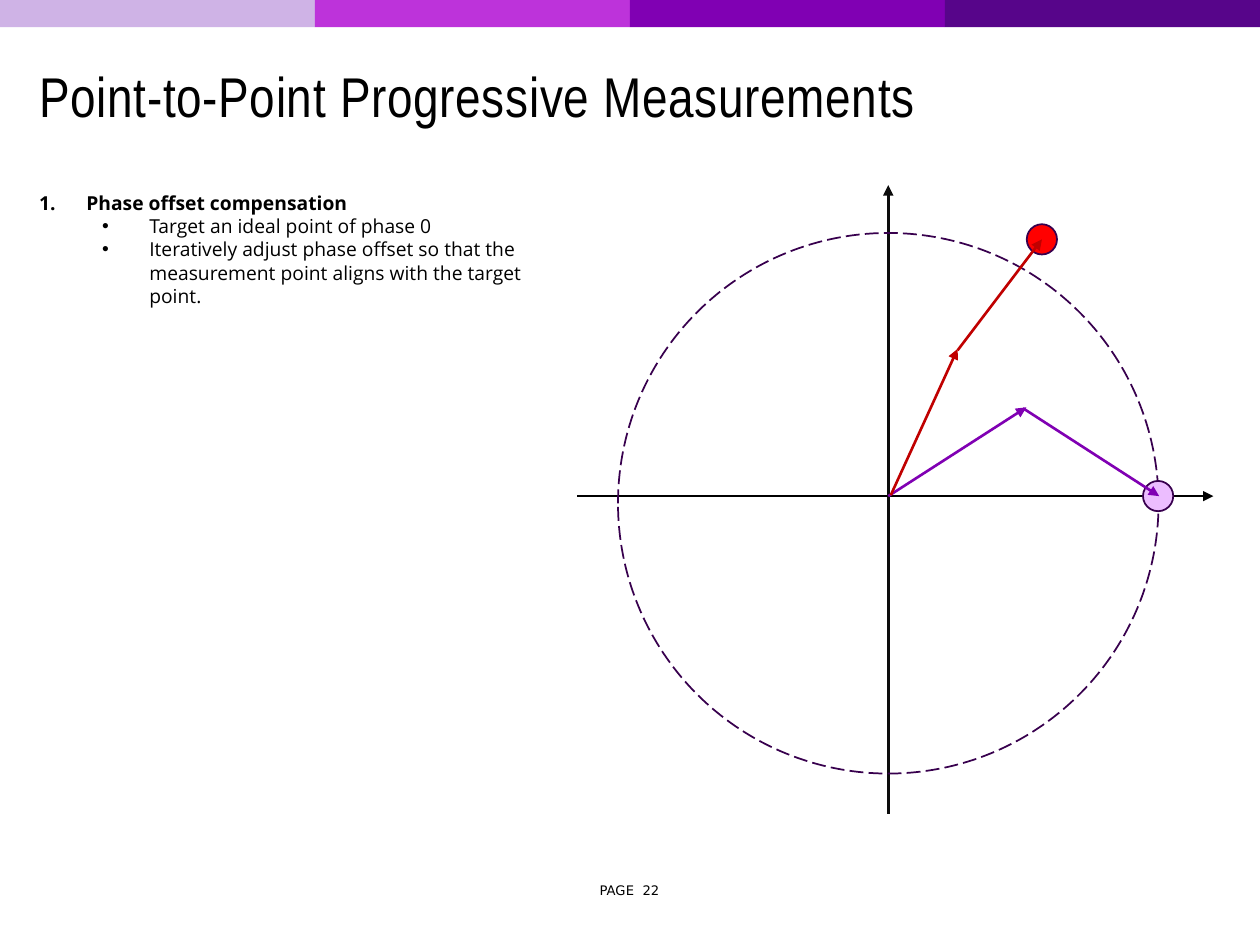
from typing import NamedTuple, Optional

from lxml.etree import SubElement
from pptx import Presentation
from pptx.dml.color import RGBColor
from pptx.enum.dml import MSO_LINE
from pptx.enum.shapes import MSO_CONNECTOR, MSO_SHAPE
from pptx.enum.text import MSO_ANCHOR, MSO_AUTO_SIZE, PP_ALIGN
from pptx.oxml.ns import qn
from pptx.util import Pt

BLACK = RGBColor(0x00, 0x00, 0x00)
INK = RGBColor(0x0C, 0x0C, 0x0C)
PLUM = RGBColor(0x38, 0x00, 0x4E)
VIOLET = RGBColor(0x80, 0x00, 0xB3)
PINK = RGBColor(0xEC, 0xBD, 0xFF)
RED = RGBColor(0xFF, 0x00, 0x00)
BRICK = RGBColor(0xC0, 0x00, 0x00)
BANDS = [RGBColor(0xCF, 0xB3, 0xE6), RGBColor(0xBD, 0x33, 0xDA),
         VIOLET, RGBColor(0x57, 0x05, 0x8A)]


class Arrow(NamedTuple):
    x1: float
    y1: float
    x2: float
    y2: float
    color: RGBColor


class Disc(NamedTuple):
    x: float  # centre
    y: float
    size: float
    fill: Optional[RGBColor] = None


class Item(NamedTuple):
    text: str
    level: int = 1


AXES = [Arrow(329.8, 283.5, 693.4, 283.5, BLACK),
        Arrow(507.6, 465.1, 507.6, 105.8, INK)]
RING = Disc(507.6, 287.6, 308.9)
TARGET = Disc(661.8, 283.5, 17.3, PINK)
POINT = Disc(595.4, 136.8, 17.3, RED)
STEPS = [Arrow(507.6, 283.5, 586.5, 232.8, VIOLET),
         Arrow(584.6, 233.3, 662.4, 283.5, VIOLET),
         Arrow(509, 283, 547.2, 199.4, BRICK),
         Arrow(547.2, 200.2, 595.4, 136.8, BRICK)]
ITEMS = [Item("Phase offset compensation", 0),
         Item("Target an ideal point of phase 0"),
         Item("Iteratively adjust phase offset so that the measurement "
              "point aligns with the target point.")]


def place(shape, x: float, y: float, w: float, h: float) -> None:
    shape.left, shape.top, shape.width, shape.height = map(Pt, (x, y, w, h))


def write(para, text: str, font: str, size: float, bold: bool = False):
    run = para.add_run()
    run.text = text
    run.font.name, run.font.size, run.font.bold = font, Pt(size), bold
    run.font.color.rgb = BLACK
    return run


def draw_band(slide, x: float, w: float, color: RGBColor) -> None:
    band = slide.shapes.add_shape(MSO_SHAPE.RECTANGLE, Pt(x), 0, Pt(w), Pt(15.6))
    band.shadow.inherit = False
    band.fill.solid()
    band.fill.fore_color.rgb = color
    band.line.fill.background()


def draw_arrow(slide, arrow: Arrow) -> None:
    line = slide.shapes.add_connector(
        MSO_CONNECTOR.STRAIGHT, Pt(arrow.x1), Pt(arrow.y1),
        Pt(arrow.x2), Pt(arrow.y2))
    line.line.color.rgb = arrow.color
    line.line.width = Pt(1.5)
    props = line._element.spPr
    SubElement(props.find(qn("a:ln")), qn("a:tailEnd"), type="triangle")
    SubElement(props, qn("a:effectLst"))


def draw_disc(slide, disc: Disc) -> None:
    half = disc.size / 2
    oval = slide.shapes.add_shape(
        MSO_SHAPE.OVAL, Pt(disc.x - half), Pt(disc.y - half),
        Pt(disc.size), Pt(disc.size))
    oval.shadow.inherit = False
    oval.line.color.rgb = PLUM
    oval.line.width = Pt(1)
    if disc.fill is None:
        oval.fill.background()
        oval.line.dash_style = MSO_LINE.LONG_DASH
    else:
        oval.fill.solid()
        oval.fill.fore_color.rgb = disc.fill


def add_item(para, item: Item) -> None:
    para.level = item.level
    para.space_before = Pt(0)
    props = para._p.get_or_add_pPr()
    props.set("marL", str(Pt(63 if item.level else 27)))
    props.set("indent", str(Pt(-27)))
    if item.level:
        SubElement(props, qn("a:buFont"), typeface="Arial")
        SubElement(props, qn("a:buChar"), char="•")
    else:
        SubElement(props, qn("a:buFont"), typeface="+mj-lt")
        SubElement(props, qn("a:buAutoNum"), type="arabicPeriod")
    write(para, item.text, "Open Sans", 11, item.level == 0)


def main() -> None:
    deck = Presentation()
    deck.slide_width, deck.slide_height = Pt(720), Pt(540)
    slide = deck.slides.add_slide(deck.slide_layouts[1])

    # Colour bands along the top
    for i, color in enumerate(BANDS):
        draw_band(slide, 180 * i, 180, color)

    # Title
    title = slide.shapes.title
    place(title, 15.1, 22.3, 683.3, 70.6)
    title.text_frame.vertical_anchor = MSO_ANCHOR.MIDDLE
    head = title.text_frame.paragraphs[0]
    head.alignment = PP_ALIGN.LEFT
    head.line_spacing = 0.85
    run = write(head, "Point-to-Point Progressive Measurements", "Arial Narrow", 32)
    run.font._element.set("spc", "40")

    # Numbered step with its bullets
    body = slide.placeholders[1]
    place(body, 15.1, 105.8, 303.1, 74.2)
    frame = body.text_frame
    frame.auto_size = MSO_AUTO_SIZE.SHAPE_TO_FIT_TEXT
    for i, item in enumerate(ITEMS):
        add_item(frame.add_paragraph() if i else frame.paragraphs[0], item)

    # Phase plane: axes, unit circle, points and vectors
    for axis in AXES:
        draw_arrow(slide, axis)
    for disc in (RING, TARGET, POINT):
        draw_disc(slide, disc)
    for step in STEPS:
        draw_arrow(slide, step)

    # Page number
    page = slide.shapes.add_textbox(Pt(329.8), Pt(499), Pt(59.8), Pt(19.4))
    page.text_frame.word_wrap = False
    page.text_frame.vertical_anchor = MSO_ANCHOR.MIDDLE
    foot = page.text_frame.paragraphs[0]
    foot.alignment = PP_ALIGN.CENTER
    write(foot, "PAGE  22", "DejaVu Sans", 7.5)

    deck.save("out.pptx")


if __name__ == "__main__":
    main()
